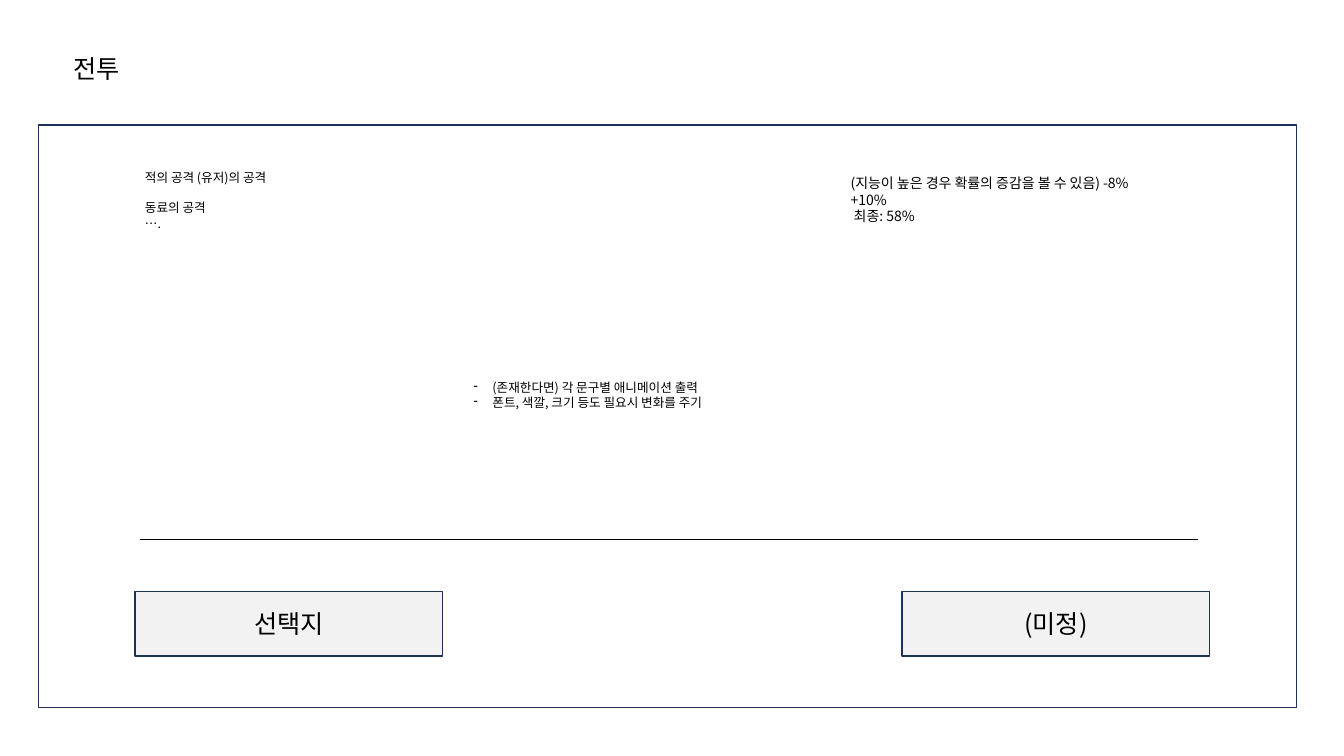
"""Build the battle screen wireframe slide."""
from lxml import etree
from pptx import Presentation
from pptx.dml.color import RGBColor
from pptx.enum.shapes import MSO_CONNECTOR, MSO_SHAPE
from pptx.enum.text import MSO_ANCHOR, MSO_AUTO_SIZE, PP_ALIGN
from pptx.oxml.ns import qn
from pptx.util import Pt

RECTANGLE = MSO_SHAPE.RECTANGLE
STRAIGHT = MSO_CONNECTOR.STRAIGHT
TOP, MIDDLE = MSO_ANCHOR.TOP, MSO_ANCHOR.MIDDLE
NO_FIT = MSO_AUTO_SIZE.NONE
LEFT, CENTER = PP_ALIGN.LEFT, PP_ALIGN.CENTER

FONT = "Noto Sans CJK KR"
BLACK, WHITE, GRAY, NAVY = "000000", "FFFFFF", "F2F2F2", "1E3256"


def color(value):
    return RGBColor.from_string(value)


def assign(target, values):
    for name, value in values.items():
        setattr(target, name, value)


class Wireframe:
    def __init__(self, page):
        self.page = page

    def fill_text(self, box, lines, size, align=LEFT, anchor=TOP, wrap=True, gaps=(), bullet=None):
        frame = box.text_frame
        assign(frame, {"word_wrap": wrap, "auto_size": NO_FIT, "vertical_anchor": anchor})
        for index, line in enumerate(lines):
            para = frame.add_paragraph() if index else frame.paragraphs[0]
            gap = gaps[index] if index < len(gaps) else 0
            assign(para, {"alignment": align, "line_spacing": Pt(size * 1.2), "space_before": Pt(gap)})
            span = para.add_run()
            span.text = line
            assign(span.font, {"size": Pt(size), "name": FONT})
            span.font.color.rgb = color(BLACK)
            etree.SubElement(span.font._element, qn("a:ea")).set("typeface", FONT)
            if bullet:
                self.bullet(para, bullet)

    def bullet(self, para, mark):
        properties = para._p.get_or_add_pPr()
        indent = Pt(13.5)
        properties.set("marL", str(indent))
        properties.set("indent", str(-indent))
        etree.SubElement(properties, qn("a:buChar")).set("char", mark)

    def text(self, left, top, width, height, lines, size, **style):
        box = self.page.shapes.add_textbox(Pt(left), Pt(top), Pt(width), Pt(height))
        box.text_frame.margin_right = 0
        self.fill_text(box, lines, size, **style)

    def panel(self, left, top, width, height, fill):
        box = self.page.shapes.add_shape(RECTANGLE, Pt(left), Pt(top), Pt(width), Pt(height))
        box.shadow.inherit = False
        box.fill.solid()
        box.fill.fore_color.rgb = color(fill)
        box.line.color.rgb = color(NAVY)
        box.line.width = Pt(1)
        return box

    def button(self, left, label):
        box = self.panel(left, 422.6, 219.6, 46, GRAY)
        self.fill_text(box, [label], 18, align=CENTER, anchor=MIDDLE)

    def divider(self, left, right, top):
        line = self.page.shapes.add_connector(STRAIGHT, Pt(left), Pt(top), Pt(right), Pt(top))
        line.line.color.rgb = color(BLACK)
        line.line.width = Pt(0.5)
        etree.SubElement(line._element.spPr, qn("a:effectLst"))


def main():
    deck = Presentation()
    assign(deck, {"slide_width": Pt(960), "slide_height": Pt(540)})
    screen = Wireframe(deck.slides.add_slide(deck.slide_layouts[6]))

    screen.text(45.4, 34.6, 51, 29, ["전투"], 18, wrap=False)
    screen.panel(27.4, 89.3, 898.6, 416.2, WHITE)
    screen.divider(100, 856, 385.2)
    for left, label in ((96.5, "선택지"), (644.4, "(미정)")):
        screen.button(left, label)

    battle_log = ["적의 공격 (유저)의 공격", "동료의 공격", "…."]
    screen.text(96.5, 118, 112.3, 40.3, battle_log, 9, gaps=(0, 10.8))
    odds = ["(지능이 높은 경우 확률의 증감을 볼 수 있음) -8%", "+10%", " 최종: 58%"]
    screen.text(600.5, 121, 239, 87, odds, 10)
    notes = ["(존재한다면) 각 문구별 애니메이션 출력", "폰트, 색깔, 크기 등도 필요시 변화를 주기"]
    screen.text(331.2, 267.8, 226.8, 28.8, notes, 9, bullet="-")

    deck.save("out.pptx")


if __name__ == "__main__":
    main()
